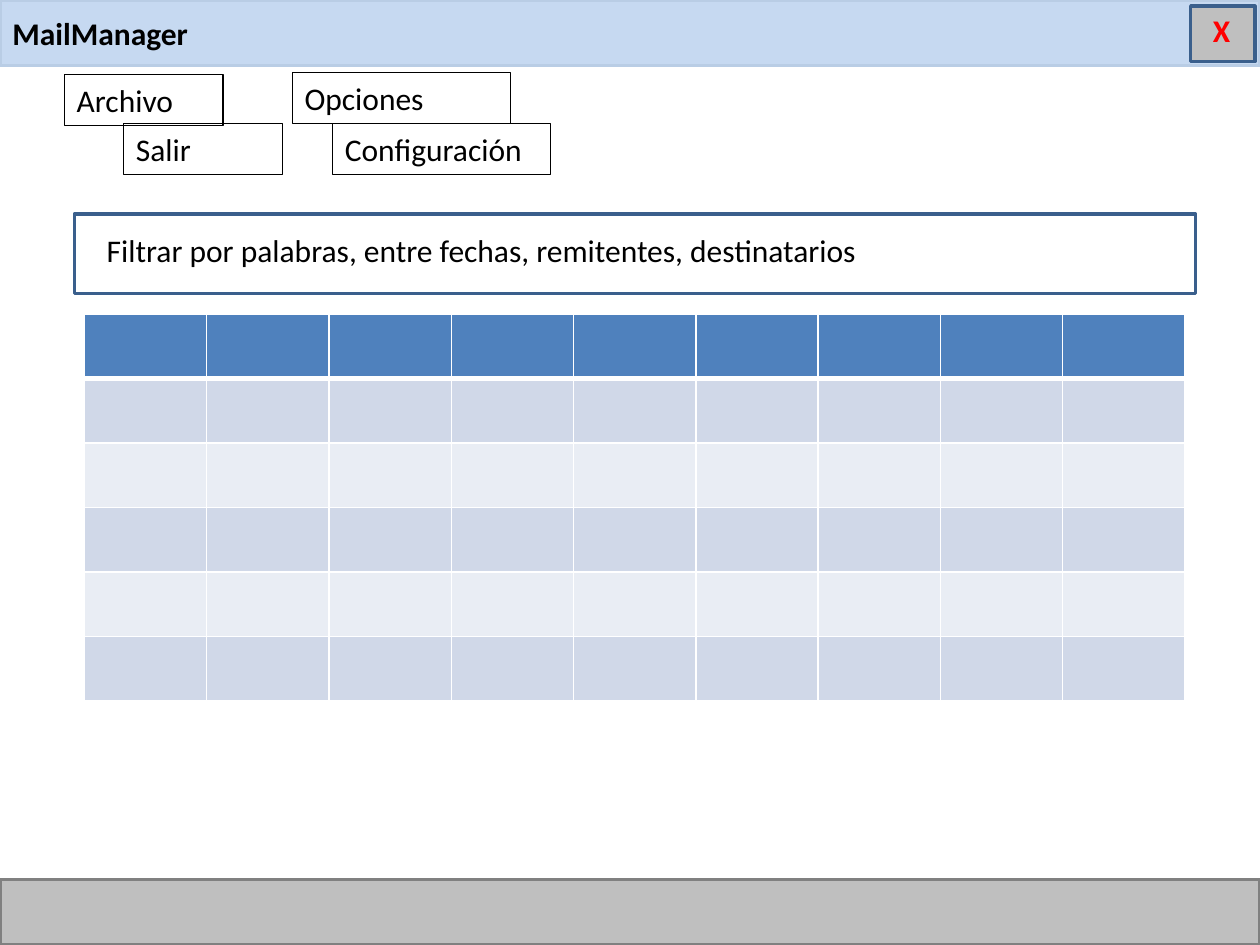
"""Build the mail manager window mock-up slide."""
from dataclasses import dataclass
from typing import Optional

import pptx
import pptx.dml.color
import pptx.enum.shapes
import pptx.enum.text
import pptx.oxml
import pptx.oxml.ns
import pptx.slide
import pptx.table
import pptx.util


@dataclass(frozen=True)
class Theme:
    font: str = "Calibri"
    size: float = 18
    ink: str = "000000"
    alert: str = "FF0000"
    paper: str = "FFFFFF"
    title_fill: str = "C6D9F1"
    title_line: str = "B9CDE5"
    grey: str = "BFBFBF"
    grey_line: str = "808080"
    frame: str = "3A5F8C"
    header: str = "4F81BD"
    bands: tuple[str, str] = ("D0D8E8", "E9EDF4")


@dataclass(frozen=True)
class Panel:
    left: float
    top: float
    width: float
    height: float
    line: str
    line_width: float = 2
    fill: Optional[str] = None
    text: str = ""
    bold: bool = False
    middle: bool = False


@dataclass(frozen=True)
class Label:
    left: float
    top: float
    width: float
    height: float
    text: str
    color: str
    bold: bool = False
    wrap: bool = True


THEME = Theme()
SLIDE_WIDTH, SLIDE_HEIGHT = 720, 540
BAR_HEIGHT = 37.5
MENU_HEIGHT = 29.08
COLUMNS, ROWS = 9, 6
GRID_LEFT, GRID_TOP, GRID_WIDTH, GRID_HEIGHT = 48.24, 179.5, 629.1, 221.1


def rgb(color: str) -> pptx.dml.color.RGBColor:
    return pptx.dml.color.RGBColor.from_string(color)


def write(frame: pptx.text.text.TextFrame, text: str, color: str, bold: bool, wrap: bool = True) -> None:
    frame.word_wrap = wrap
    paragraph = frame.paragraphs[0]
    paragraph.alignment = pptx.enum.text.PP_ALIGN.LEFT
    run = paragraph.add_run()
    run.text = text
    run.font.name = THEME.font
    run.font.size = pptx.util.Pt(THEME.size)
    run.font.bold = bold
    run.font.color.rgb = rgb(color)


def draw_panel(slide: pptx.slide.Slide, panel: Panel) -> None:
    box = slide.shapes.add_shape(
        pptx.enum.shapes.MSO_SHAPE.RECTANGLE,
        *map(pptx.util.Pt, (panel.left, panel.top, panel.width, panel.height)),
    )
    box.shadow.inherit = False
    if panel.fill:
        box.fill.solid()
        box.fill.fore_color.rgb = rgb(panel.fill)
    else:
        box.fill.background()
    box.line.color.rgb = rgb(panel.line)
    box.line.width = pptx.util.Pt(panel.line_width)
    if panel.text:
        anchor = pptx.enum.text.MSO_ANCHOR
        box.text_frame.vertical_anchor = anchor.MIDDLE if panel.middle else anchor.TOP
        write(box.text_frame, panel.text, THEME.ink, panel.bold)


def draw_label(slide: pptx.slide.Slide, label: Label) -> None:
    box = slide.shapes.add_textbox(
        *map(pptx.util.Pt, (label.left, label.top, label.width, label.height))
    )
    write(box.text_frame, label.text, label.color, label.bold, label.wrap)


def style_cell(cell: pptx.table._Cell, row: int) -> None:
    cell.fill.solid()
    cell.fill.fore_color.rgb = rgb(THEME.bands[(row - 1) % 2] if row else THEME.header)
    cell.text_frame.paragraphs[0].font.size = pptx.util.Pt(THEME.size)
    properties = cell._tc.get_or_add_tcPr()
    widths = {"lnL": 1, "lnR": 1, "lnT": 3 if row == 1 else 1, "lnB": 1 if row else 3}
    for index, (side, width) in enumerate(widths.items()):
        border = pptx.oxml.parse_xml(
            f'<a:{side} {pptx.oxml.ns.nsdecls("a")} w="{pptx.util.Pt(width)}">'
            f'<a:solidFill><a:srgbClr val="{THEME.paper}"/></a:solidFill></a:{side}>'
        )
        properties.insert(index, border)


def draw_message_grid(slide: pptx.slide.Slide) -> None:
    grid = slide.shapes.add_table(
        ROWS, COLUMNS,
        *map(pptx.util.Pt, (GRID_LEFT, GRID_TOP, GRID_WIDTH, GRID_HEIGHT)),
    ).table
    for column in grid.columns:
        column.width = pptx.util.Pt(GRID_WIDTH / COLUMNS)
    for index, row in enumerate(grid.rows):
        row.height = pptx.util.Pt(GRID_HEIGHT / ROWS)
        for cell in row.cells:
            style_cell(cell, index)


def menu(left: float, top: float, width: float, text: str) -> Panel:
    return Panel(left, top, width, MENU_HEIGHT, THEME.ink, 0.75, text=text)


def main() -> None:
    presentation = pptx.Presentation()
    presentation.slide_width = pptx.util.Pt(SLIDE_WIDTH)
    presentation.slide_height = pptx.util.Pt(SLIDE_HEIGHT)
    slide = presentation.slides.add_slide(presentation.slide_layouts[6])

    menus = (
        menu(36.8, 42.5, 90.7, "Archivo"),
        menu(70.6, 70.6, 90.7, "Salir"),
        menu(190, 70.6, 124.6, "Configuración"),
        menu(167, 41.5, 124.6, "Opciones"),
    )
    for entry in menus:
        draw_panel(slide, entry)

    draw_message_grid(slide)

    status_bar = Panel(0, SLIDE_HEIGHT - BAR_HEIGHT, SLIDE_WIDTH, BAR_HEIGHT,
                       THEME.grey_line, fill=THEME.grey)
    title_bar = Panel(0, 0, SLIDE_WIDTH, BAR_HEIGHT, THEME.title_line,
                      fill=THEME.title_fill, text="MailManager", bold=True, middle=True)
    close_button = Panel(680.4, 3.6, 36.7, 31.7, THEME.frame, fill=THEME.grey)
    for part in (status_bar, title_bar, close_button):
        draw_panel(slide, part)
    draw_label(slide, Label(686, 3, 36.7, MENU_HEIGHT, "X", THEME.alert, bold=True))

    draw_panel(slide, Panel(42.5, 122.4, 640.8, 45.4, THEME.frame))
    draw_label(slide, Label(
        53.9, 128.2, 447.8, MENU_HEIGHT,
        "Filtrar por palabras, entre fechas, remitentes, destinatarios",
        THEME.ink, wrap=False,
    ))
    presentation.save("out.pptx")


main()
